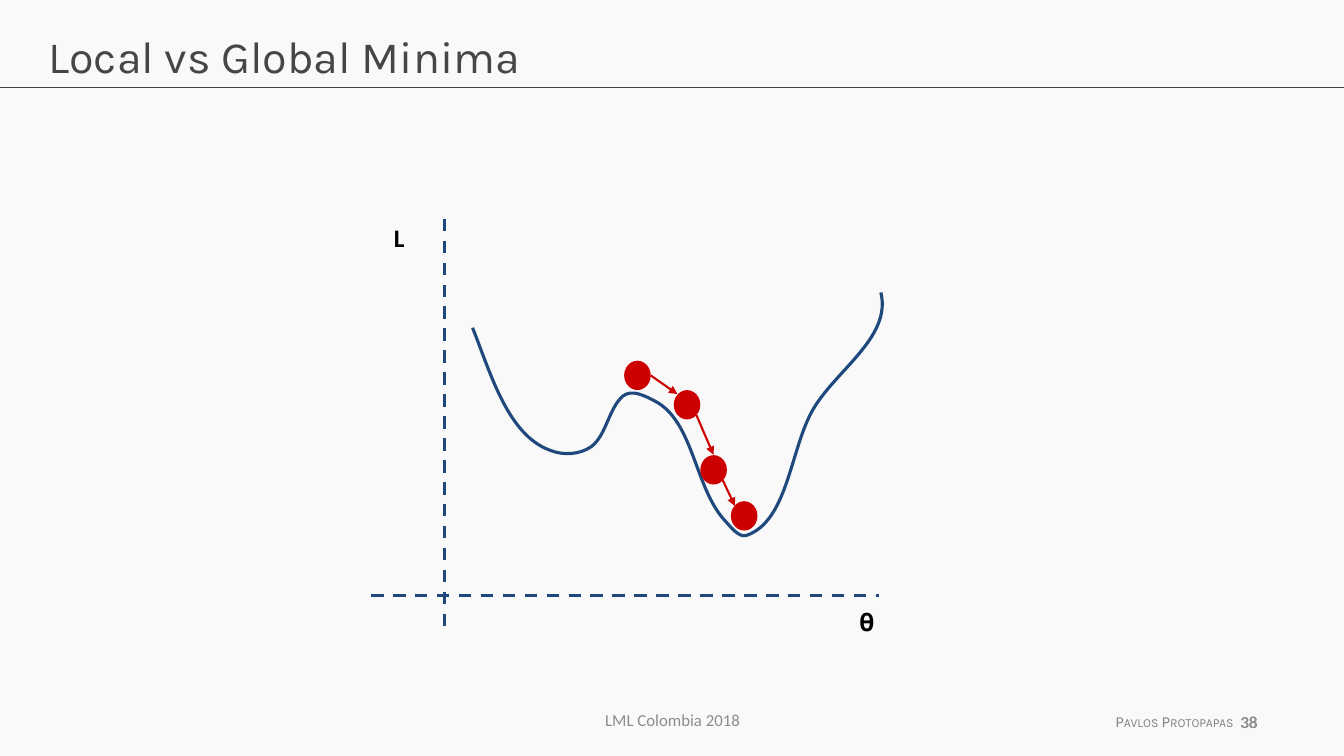
from dataclasses import dataclass

from lxml.etree import SubElement
from pptx import Presentation
from pptx.dml.color import RGBColor
from pptx.enum.dml import MSO_LINE as Dash
from pptx.enum.shapes import MSO_CONNECTOR as Connector, MSO_SHAPE as Shape
from pptx.enum.text import MSO_ANCHOR as Anchor, MSO_AUTO_SIZE as AutoSize, PP_ALIGN as Align
from pptx.oxml.ns import qn
from pptx.util import Cm, Pt


@dataclass(frozen=True)
class Theme:
    background: str = "F9F9F9"
    rule: str = "404040"
    title: str = "464646"
    footer: str = "8C8C8C"
    author: str = "808080"
    label: str = "000000"
    curve: str = "1F497D"
    ball: str = "CC0000"
    title_size: float = 32
    label_size: float = 18
    footer_size: float = 12
    author_size: float = 11
    heading_font: str = "Karla"
    body_font: str = "Calibri"


THEME = Theme()
WIDTH, HEIGHT = 33.87, 19.05
SIDES = ("left", "top", "width", "height")

# Loss curve: start point, then two control points and an end point per segment
CURVE_BOX = (11.91, 7.37, 10.34, 6.15)
CURVE_START = (11.91, 8.26)
CURVE_SEGMENTS = [
    ((12.37, 9.42), (12.8, 10.97), (13.87, 11.35)),
    ((14.2, 11.48), (14.61, 11.46), (14.91, 11.25)),
    ((15.29, 10.95), (15.34, 10.29), (15.7, 9.98)),
    ((15.93, 9.8), (16.26, 9.98), (16.51, 10.11)),
    ((17.48, 10.62), (17.5, 12.27), (18.26, 13.11)),
    ((18.42, 13.28), (18.62, 13.56), (18.82, 13.49)),
    ((19.84, 13.13), (19.91, 11.4), (20.45, 10.39)),
    ((21.01, 9.35), (22.48, 8.53), (22.2, 7.37)),
]

AXES = [((11.2, 5.51), (11.2, 15.98)), ((9.35, 15.01), (22.15, 15.01))]
BALL_SIZE = (0.67, 0.74)
BALLS = [(15.73, 9.09), (16.98, 9.83), (17.65, 11.47), (18.42, 12.63)]
DESCENT_STEPS = [
    ((16.4, 9.46), (17.07, 9.93)),
    ((17.55, 10.46), (17.98, 11.46)),
    ((18.21, 12.09), (18.52, 12.75)),
]


def color(value):
    return RGBColor.from_string(value)


def apply_format(target, values):
    for name, value in values.items():
        setattr(target, name, value)


def write_text(shape, text, font, size, ink, bold=False, align=Align.LEFT, **frame_format):
    """Fill a shape with one formatted paragraph."""
    frame = shape.text_frame
    apply_format(frame, {"auto_size": AutoSize.NONE, "word_wrap": True, **frame_format})
    paragraph = frame.paragraphs[0]
    paragraph.alignment = align
    run = paragraph.add_run()
    run.text = text
    apply_format(run.font, {"name": font, "size": Pt(size), "bold": bold})
    run.font.color.rgb = color(ink)
    return run


def add_text(parent, box, *content, **formats):
    shape = parent.shapes.add_textbox(*map(Cm, box))
    return write_text(shape, *content, **formats)


def add_line(parent, start, end, ink, width, dash=None, arrow=False):
    line = parent.shapes.add_connector(Connector.STRAIGHT, *map(Cm, start + end))
    apply_format(line.line, {"width": Pt(width), "dash_style": dash})
    line.line.color.rgb = color(ink)
    if arrow:
        SubElement(line.line._get_or_add_ln(), qn("a:tailEnd"), type="triangle")
    SubElement(line._element.spPr, qn("a:effectLst"))


def add_ball(parent, corner):
    ball = parent.shapes.add_shape(Shape.OVAL, *map(Cm, corner + BALL_SIZE))
    ball.shadow.inherit = False
    ball.fill.solid()
    ball.fill.fore_color.rgb = color(THEME.ball)
    ball.line.fill.background()


def add_curve(parent, box, start, segments):
    """Draw joined cubic segments as one open outline."""
    builder = parent.shapes.build_freeform(*map(Cm, start))
    builder.add_line_segments([tuple(map(Cm, segment[-1])) for segment in segments], close=False)
    curve = builder.convert_to_shape()
    left, top, width, height = map(Cm, box)
    apply_format(curve, dict(zip(SIDES, (left, top, width, height))))

    # Restate the outline as Bézier segments, measured from the box corner
    outline = next(curve._element.iter(qn("a:path")))
    for step in list(outline):
        outline.remove(step)
    outline.set("w", str(width))
    outline.set("h", str(height))
    for points in [(start,), *segments]:
        step = SubElement(outline, qn("a:moveTo" if len(points) == 1 else "a:cubicBezTo"))
        for x, y in points:
            SubElement(step, qn("a:pt"), x=str(Cm(x) - left), y=str(Cm(y) - top))

    curve.shadow.inherit = False
    curve.fill.background()
    curve.line.width = Pt(2.25)
    curve.line.color.rgb = color(THEME.curve)


def add_title(slide, text):
    title = slide.shapes.title
    apply_format(title, dict(zip(SIDES, map(Cm, (0.97, 0.59, 31.93, 2.13)))))
    write_text(title, text, THEME.heading_font, THEME.title_size, THEME.title,
               vertical_anchor=Anchor.TOP)
    add_line(slide, (0, 2.2), (WIDTH, 2.2), THEME.rule, 0.75)


def add_footer(slide):
    style = (THEME.body_font, THEME.footer_size, THEME.footer)
    add_text(slide, (11.59, 17.63, 10.72, 1.02), "LML Colombia 2018", *style,
             align=Align.CENTER, vertical_anchor=Anchor.MIDDLE)
    author = add_text(slide, (27.86, 17.81, 3.58, 0.74), "Pavlos Protopapas",
                      THEME.heading_font, THEME.author_size, THEME.author,
                      word_wrap=False, auto_size=AutoSize.SHAPE_TO_FIT_TEXT)
    author.font._element.set("cap", "small")
    # The number is set twice, slightly offset, which makes it look heavier
    for left in (24.05, 24.03):
        add_text(slide, (left, 17.67, 7.9, 1.02), "38", *style,
                 align=Align.RIGHT, vertical_anchor=Anchor.MIDDLE)


def add_axes(parent):
    for start, end in AXES:
        add_line(parent, start, end, THEME.curve, 2.25, dash=Dash.DASH)
    margins = {f"margin_{side}": Cm(0.25) for side in ("left", "top", "right", "bottom")}
    for text, corner, bold in (("L", (9.68, 5.36), True), ("𝛉", (21.41, 15.03), False)):
        add_text(parent, corner + (1.52, 1.78), text, THEME.body_font, THEME.label_size,
                 THEME.label, bold=bold, **margins)


def main():
    presentation = Presentation()
    presentation.slide_width, presentation.slide_height = Cm(WIDTH), Cm(HEIGHT)
    slide = presentation.slides.add_slide(presentation.slide_layouts.get_by_name("Title Only"))
    slide.background.fill.solid()
    slide.background.fill.fore_color.rgb = color(THEME.background)

    # Frame of the slide
    add_title(slide, "Local vs Global Minima")
    add_footer(slide)

    # Loss plot with the ball rolling to the global minimum
    plot = slide.shapes.add_group_shape()
    add_axes(plot)
    add_curve(plot, CURVE_BOX, CURVE_START, CURVE_SEGMENTS)
    for corner in BALLS:
        add_ball(plot, corner)
    for start, end in DESCENT_STEPS:
        add_line(plot, start, end, THEME.ball, 1.5, arrow=True)

    presentation.save("out.pptx")


if __name__ == "__main__":
    main()
